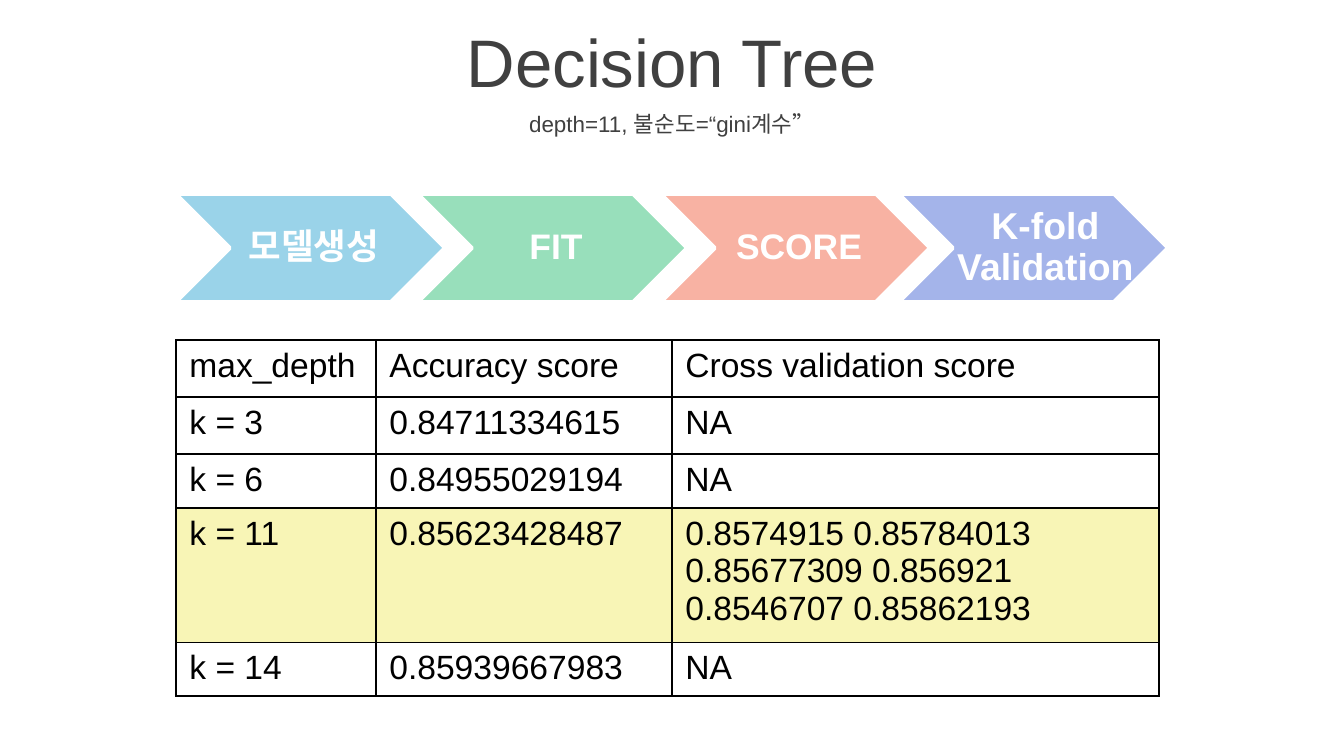
import pptx
import pptx.dml.color
import pptx.enum.shapes
import pptx.enum.text
import pptx.oxml
import pptx.oxml.ns
import pptx.util

PX = 914400 / 134.4
FONT = "Arial"
COLORS = {
    "white": "FFFFFF",
    "black": "000000",
    "heading": "404040",
    "model": "9AD3E9",
    "fit": "98DFBB",
    "score": "F8B2A3",
    "validation": "A4B4EA",
    "highlight": "F8F5B6",
}
STEP_TOP, STEP_WIDTH, STEP_HEIGHT = 194, 269, 108
# label, colour, chevron left, label left, label width, text size
STEPS = [
    ("모델생성", "model", 176, 230, 161, 19),
    ("FIT", "fit", 418, 472, 161, 19),
    ("SCORE", "score", 661, 715, 161, 19),
    ("K-fold Validation", "validation", 899, 921, 242, 20),
]
COLUMN_WIDTHS = [200, 296, 487]
ROW_HEIGHTS = [57, 57, 54, 126, 53]
BEST_ROW = 3
SCORES = [
    ("max_depth", "Accuracy score", "Cross validation score"),
    ("k = 3", "0.84711334615", "NA"),
    ("k = 6", "0.84955029194", "NA"),
    ("k = 11", "0.85623428487",
     "0.8574915 0.85784013 0.85677309 0.856921\n0.8546707 0.85862193"),
    ("k = 14", "0.85939667983", "NA"),
]


def px(length):
    return pptx.util.Emu(round(length * PX))


def rgb(name):
    return pptx.dml.color.RGBColor.from_string(COLORS[name])


def write(frame, text, size, color, bold=False, align=None, before=None,
          spacing=None):
    """Fill a text frame, one paragraph for each line of text."""
    frame.word_wrap = True
    frame.text = text
    for paragraph in frame.paragraphs:
        paragraph.alignment = align
        paragraph.space_before = before
        paragraph.line_spacing = spacing
        for run in paragraph.runs:
            run.font.name = FONT
            run.font.size = pptx.util.Pt(size)
            run.font.bold = bold
            run.font.color.rgb = rgb(color)


def add_label(slide, text, left, top, width, height, insets=None, **text_format):
    """Add a text box centred both ways; insets are left, top, right, bottom."""
    box = slide.shapes.add_textbox(px(left), px(top), px(width), px(height))
    frame = box.text_frame
    frame.vertical_anchor = pptx.enum.text.MSO_ANCHOR.MIDDLE
    if insets:
        (frame.margin_left, frame.margin_top,
         frame.margin_right, frame.margin_bottom) = map(px, insets)
    write(frame, text, align=pptx.enum.text.PP_ALIGN.CENTER, **text_format)


def add_step(slide, label, color, left, label_left, label_width, size):
    chevron = slide.shapes.add_shape(
        pptx.enum.shapes.MSO_SHAPE.CHEVRON,
        px(left), px(STEP_TOP), px(STEP_WIDTH), px(STEP_HEIGHT))
    chevron.shadow.inherit = False
    chevron.fill.solid()
    chevron.fill.fore_color.rgb = rgb(color)
    chevron.line.color.rgb = rgb("white")
    chevron.line.width = pptx.util.Pt(2)
    add_label(slide, label, label_left, STEP_TOP, label_width, STEP_HEIGHT,
              insets=(11, 4, 4, 4), size=size, color="white", bold=True,
              spacing=0.9)


def add_borders(cell):
    properties = cell._tc.get_or_add_tcPr()
    for position, side in enumerate(("lnL", "lnR", "lnT", "lnB")):
        border = pptx.oxml.parse_xml(
            f'<a:{side} {pptx.oxml.ns.nsdecls("a")} w="{pptx.util.Pt(1)}">'
            f'<a:solidFill><a:srgbClr val="{COLORS["black"]}"/></a:solidFill>'
            f'</a:{side}>')
        properties.insert(position, border)


def add_score_table(slide, left, top):
    table = slide.shapes.add_table(
        len(SCORES), len(COLUMN_WIDTHS), px(left), px(top),
        px(sum(COLUMN_WIDTHS)), px(sum(ROW_HEIGHTS))).table
    table.first_row = False
    table.horz_banding = False
    for column, width in zip(table.columns, COLUMN_WIDTHS):
        column.width = px(width)
    for index, (row, height, values) in enumerate(
            zip(table.rows, ROW_HEIGHTS, SCORES)):
        row.height = px(height)
        for cell, value in zip(row.cells, values):
            write(cell.text_frame, value, size=18, color="black")
            if index == BEST_ROW:
                cell.fill.solid()
                cell.fill.fore_color.rgb = rgb("highlight")
            else:
                cell.fill.background()
            add_borders(cell)


def main():
    deck = pptx.Presentation()
    deck.slide_width, deck.slide_height = px(1344), px(756)
    slide = deck.slides.add_slide(deck.slide_layouts[6])
    for step in STEPS:
        add_step(slide, *step)
    add_label(slide, "Decision Tree", 0, 19, 1344, 84, size=36,
              color="heading", before=pptx.util.Pt(4))
    add_label(slide, "depth=11, 불순도=“gini계수”", 0, 103, 1344, 42, size=12,
              color="heading", before=pptx.util.Pt(2))
    add_score_table(slide, 176, 340)
    deck.save("out.pptx")


if __name__ == "__main__":
    main()
